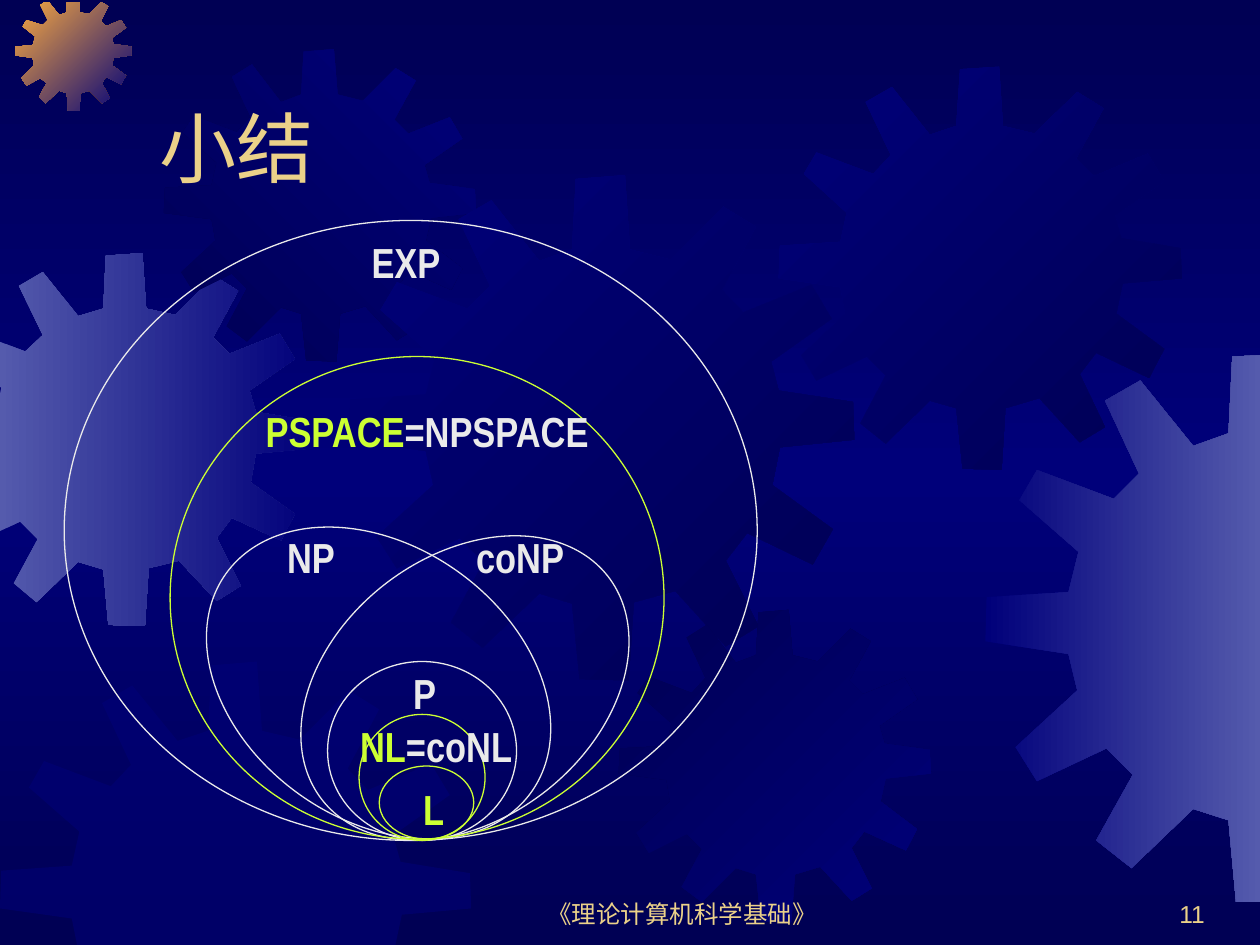
from copy import deepcopy

from lxml import etree
from pptx import Presentation
from pptx import util as u
from pptx.dml.color import RGBColor
from pptx.enum import shapes, text
from pptx.oxml.ns import qn

PX = u.Inches(1) // 100
NAVY = RGBColor(0x00, 0x00, 0x54)
BLUE = RGBColor(0x00, 0x00, 0x7A)
LAVENDER = RGBColor(0x55, 0x5B, 0xAD)
ORANGE = RGBColor(0xFC, 0xAB, 0x40)
SAND = RGBColor(0xEB, 0xD1, 0x89)
WHITE = RGBColor(0xEA, 0xEA, 0xEA)
LIME = RGBColor(0xCC, 0xFF, 0x33)

GEAR_SIZE = 401
GEAR_OUTLINE = [
    (255, 67), (223, 59), (219, 0), (180, 3), (177, 59), (151, 68),
    (113, 20), (87, 35), (112, 88), (94, 106), (38, 85), (25, 107),
    (68, 145), (61, 174), (1, 178), (0, 210), (61, 219), (67, 246),
    (22, 287), (38, 312), (88, 288), (107, 307), (81, 355), (106, 375),
    (151, 332), (177, 340), (183, 400), (222, 401), (226, 339), (259, 330),
    (299, 374), (325, 358), (299, 306), (316, 284), (368, 309), (384, 281),
    (336, 246), (342, 216), (401, 210), (400, 180), (341, 171), (335, 148),
    (383, 114), (367, 87), (313, 109), (296, 91), (323, 41), (297, 25),
]
GEAR_LIMITS = [(0, -1, 1), (0, 1001, -1), (1, 2, 1), (1, 754, -1)]

GEARS = [
    (-49, 201, 296, LAVENDER, BLUE, 0),
    (12, -4, 92, ORANGE, BLUE, 45),
    (130, 39, 248, NAVY, BLUE, 315),
    (277, 139, 401, BLUE, NAVY, 45),
    (0, 525, 374, BLUE, None, 0),
    (491, 484, 248, NAVY, BLUE, 45),
    (618, 53, 320, BLUE, NAVY, 45),
    (782, 280, 437, BLUE, LAVENDER, 0),
]
CLASSES = [
    (192, 393, 217, 298, WHITE, 305.6),
    (265, 402, 208, 288, WHITE, 51.9),
    (260, 525, 150, 142, WHITE, 0),
    (51, 175, 550, 492, WHITE, 0),
    (135, 283, 392, 383, LIME, 0),
    (285, 567, 100, 100, LIME, 0),
    (301, 608, 75, 58, LIME, 0),
]
LABELS = [
    (318, 525, 58, [("P", WHITE)]),
    (218, 417, 75, [("NP", WHITE)]),
    (368, 417, 108, [("coNP", WHITE)]),
    (285, 183, 75, [("EXP", WHITE)]),
    (201, 317, 300, [("PSPACE", LIME), ("=NPSPACE", WHITE)]),
    (276, 567, 150, [("NL", LIME), ("=coNL", WHITE)]),
    (326, 617, 50, [("L", LIME)]),
]


def set_gradient(fill, first, last, clockwise_angle):
    fill.gradient()
    fill.gradient_angle = (360 - clockwise_angle) % 360
    for stop, color in zip(fill.gradient_stops, (first, last)):
        stop.color.rgb = color


def set_background(slide):
    fill = slide.background.fill
    set_gradient(fill, NAVY, NAVY, 90)
    stops = slide.element.find(".//" + qn("a:gsLst"))
    stops.insert(1, deepcopy(stops[0]))
    middle = fill.gradient_stops[1]
    middle.position = 0.5
    middle.color.rgb = BLUE


def clip(points, axis, limit, sign):
    kept = []
    for start, end in zip(points[-1:] + points[:-1], points):
        start_inside = (start[axis] - limit) * sign >= 0
        end_inside = (end[axis] - limit) * sign >= 0
        if start_inside != end_inside:
            share = (limit - start[axis]) / (end[axis] - start[axis])
            kept.append(tuple(a + share * (b - a) for a, b in zip(start, end)))
        if end_inside:
            kept.append(end)
    return kept


def add_gear(slide, left, top, size, first, last, angle):
    scale = size / GEAR_SIZE
    points = [(left + x * scale, top + y * scale) for x, y in GEAR_OUTLINE]
    for limit in GEAR_LIMITS:
        points = clip(points, *limit)
    builder = slide.shapes.build_freeform(*points[0], scale=PX)
    builder.add_line_segments(points[1:], close=True)
    shape = builder.convert_to_shape()
    shape.shadow.inherit = False
    shape.line.fill.background()
    if last is None:
        shape.fill.solid()
        shape.fill.fore_color.rgb = first
        color = shape.element.spPr.find(qn("a:solidFill"))[0]
        etree.SubElement(color, qn("a:alpha"), val="50000")
    else:
        set_gradient(shape.fill, first, last, angle)


def add_ellipse(slide, left, top, width, height, color, rotation):
    shape = slide.shapes.add_shape(
        shapes.MSO_SHAPE.OVAL, left * PX, top * PX, width * PX, height * PX)
    shape.shadow.inherit = False
    shape.rotation = rotation
    shape.fill.background()
    shape.line.color.rgb = color
    shape.line.width = u.Pt(0.75)


def add_text(slide, left, top, width, height, runs, size, font="Arial",
             bold=False, align=text.PP_ALIGN.LEFT, anchor=text.MSO_ANCHOR.BOTTOM):
    box = slide.shapes.add_textbox(left * PX, top * PX, width * PX, height * PX)
    frame = box.text_frame
    frame.word_wrap = True
    frame.vertical_anchor = anchor
    paragraph = frame.paragraphs[0]
    paragraph.alignment = align
    for content, color in runs:
        run = paragraph.add_run()
        run.text = content
        run.font.name = font
        run.font.size = u.Pt(size)
        run.font.bold = bold
        run.font.color.rgb = color


def main():
    presentation = Presentation()
    presentation.slide_width = 1000 * PX
    presentation.slide_height = 750 * PX
    slide = presentation.slides.add_slide(presentation.slide_layouts[6])
    set_background(slide)
    for gear in GEARS:
        add_gear(slide, *gear)
    add_text(slide, 383, 692, 317, 50, [("《理论计算机科学基础》", SAND)], 14,
             align=text.PP_ALIGN.CENTER)
    add_text(slide, 758, 692, 208, 50, [("11", SAND)], 14,
             align=text.PP_ALIGN.RIGHT)
    add_text(slide, 117, 33, 850, 125, [("小结", SAND)], 44)
    for ellipse in CLASSES:
        add_ellipse(slide, *ellipse)
    for left, top, width, runs in LABELS:
        add_text(slide, left, top, width, 50, runs, 24, "Arial Narrow",
                 bold=True, anchor=text.MSO_ANCHOR.TOP)
    presentation.save("out.pptx")


if __name__ == "__main__":
    main()
